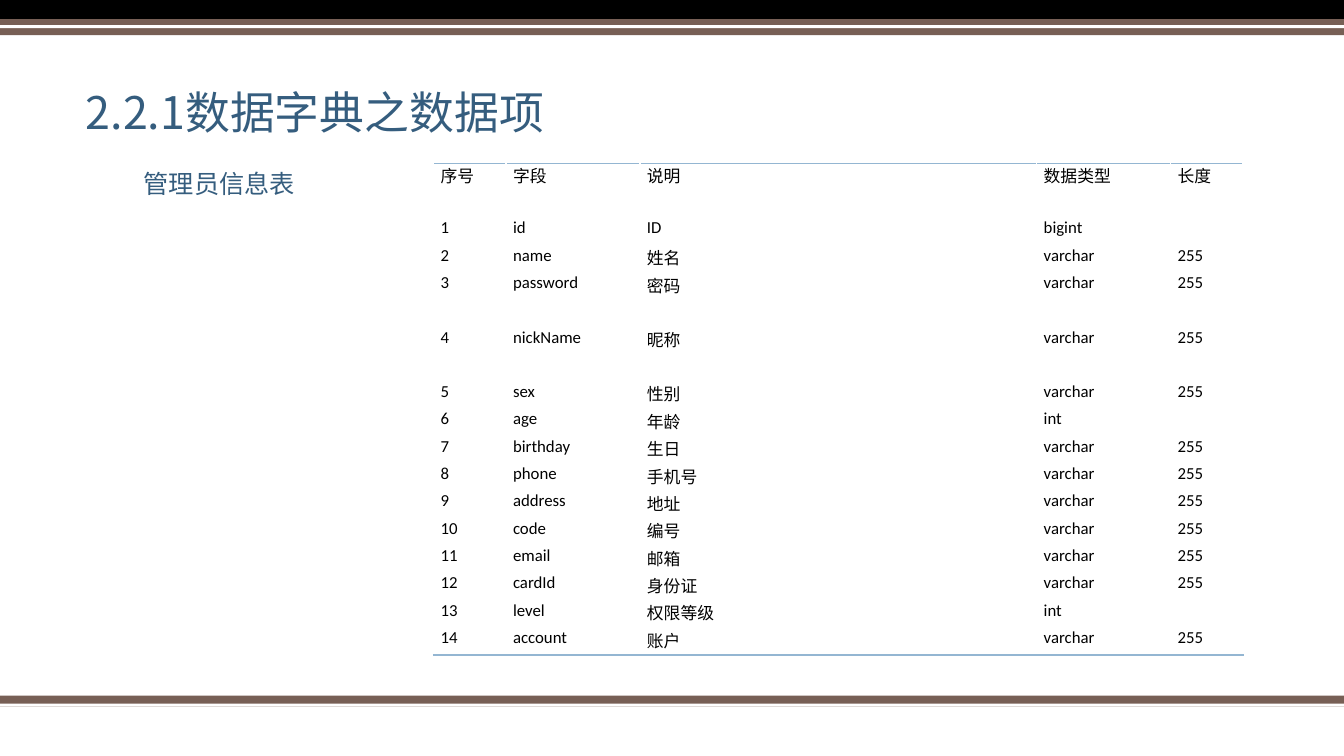
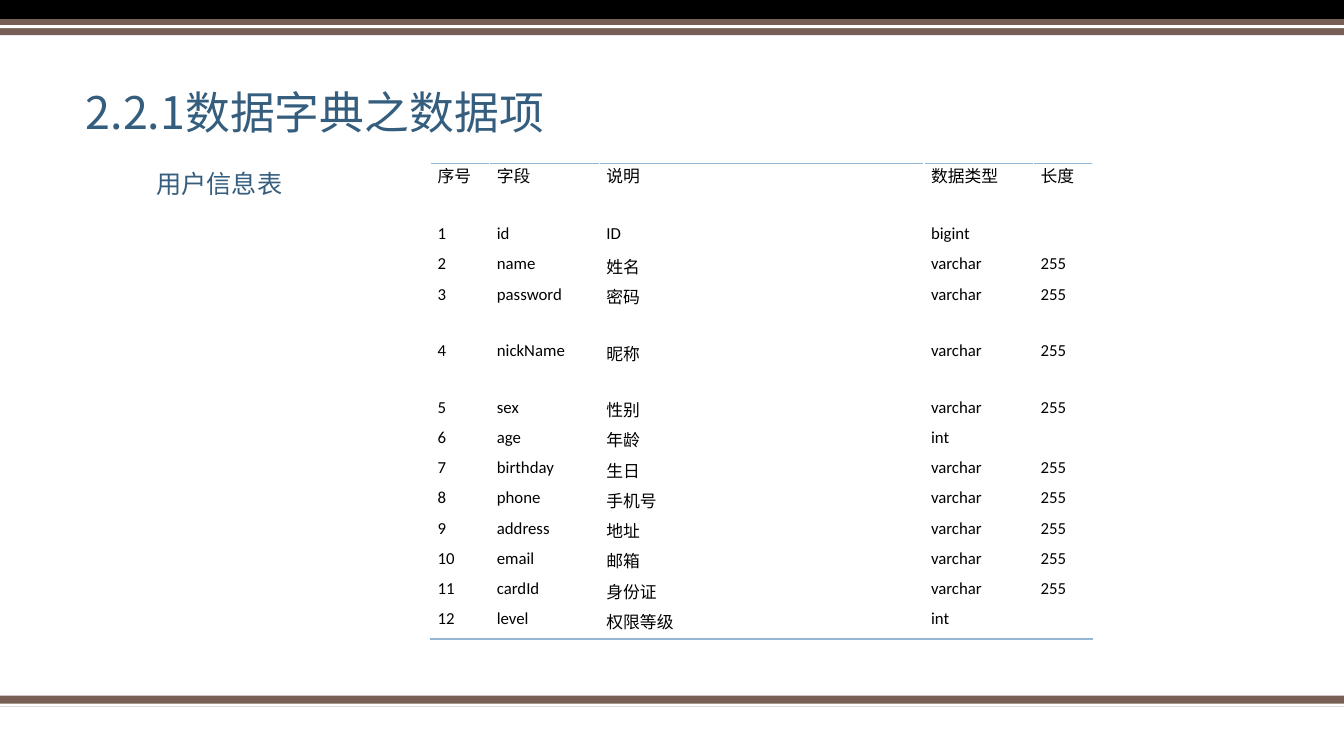
from lxml import etree
from pptx import Presentation
from pptx.dml.color import RGBColor
from pptx.enum import shapes, text
from pptx.oxml.ns import qn
from pptx.util import Inches, Pt

BLUE, BROWN, BLACK, WHITE, RULE = "355D7E", "775F55", "000000", "FFFFFF", "94B6D2"
CJK, LATIN = "Noto Sans CJK SC", "Calibri"
SLIDE_W, SLIDE_H = 13.33, 7.5
BANDS = [(6.9, 0.11, BROWN), (6.98, 0.03, WHITE),
         (0, 0.19, BLACK), (0.19, 0.16, BROWN), (0.25, 0.03, WHITE)]
TITLE = "2.2.1数据字典之数据项"
HEADER = ("序号", "字段", "说明", "数据类型", "长度")
COLUMN_WEIGHTS = (0.72, 1.33, 3.94, 1.33, 0.72)
FIELDS = {
    "id": ("ID", "bigint"), "name": ("姓名", "varchar"),
    "password": ("密码", "varchar"), "nickName": ("昵称", "varchar"),
    "sex": ("性别", "varchar"), "age": ("年龄", "int"),
    "birthday": ("生日", "varchar"), "phone": ("手机号", "varchar"),
    "address": ("地址", "varchar"), "code": ("编号", "varchar"),
    "email": ("邮箱", "varchar"), "cardId": ("身份证", "varchar"),
    "level": ("权限等级", "int"), "account": ("账户", "varchar"),
}
TALL_FIELDS = ("password", "nickName")
ADMIN_ONLY = ("code", "account")


def rgb(color):
    return RGBColor.from_string(color)


def add_rule(cell, tag):
    """Draw one edge of a table cell; tag is lnT or lnB."""
    ln = etree.Element(qn("a:" + tag), w=str(Pt(1)))
    fill = etree.SubElement(ln, qn("a:solidFill"))
    etree.SubElement(fill, qn("a:srgbClr"), val=RULE)
    cell._tc.get_or_add_tcPr().insert(0, ln)


class Deck:
    def __init__(self):
        self.prs = Presentation()
        self.prs.slide_width, self.prs.slide_height = Inches(SLIDE_W), Inches(SLIDE_H)
        self.layout = self.prs.slide_layouts.get_by_name("Title Only")
        title = self.layout.placeholders[0]
        title.left, title.top = Inches(0.75), Inches(0.26)
        title.width, title.height = Inches(10.09), Inches(1.17)
        title.text_frame.vertical_anchor = text.MSO_ANCHOR.BOTTOM
        self.s = None

    def new_slide(self):
        first = self.s is None
        self.s = self.prs.slides.add_slide(self.layout)
        if first:
            for band in BANDS:
                self.layout_band(*band)

    def layout_band(self, top, height, color):
        """Draw a full-width band and move it to the shared layout."""
        sp = self.s.shapes.add_shape(shapes.MSO_SHAPE.RECTANGLE, 0, Inches(top),
                                     Inches(SLIDE_W), Inches(height))
        sp.shadow.inherit = False
        sp.fill.solid()
        sp.fill.fore_color.rgb = rgb(color)
        sp.line.fill.background()
        self.layout.shapes._spTree.append(sp._element)

    def set_text(self, p, words, size, font, color, align):
        p.text = words
        p.alignment = align
        f = p.font
        f.size, f.name, f.color.rgb = Pt(size), font, rgb(color)
        etree.SubElement(f._element, qn("a:ea"), typeface=CJK)
        if not words:
            etree.SubElement(p._p, qn("a:endParaRPr"), sz=str(size * 100))

    def title(self, words):
        p = self.s.shapes.title.text_frame.paragraphs[0]
        self.set_text(p, words, 32, CJK, BLUE, text.PP_ALIGN.LEFT)
        p.line_spacing = 0.9

    def caption(self, words):
        tf = self.s.shapes.add_textbox(Inches(1.23), Inches(1.62),
                                       Inches(1.89), Inches(0.71)).text_frame
        tf.word_wrap = True
        self.set_text(tf.paragraphs[0], words, 18, CJK, BLUE, text.PP_ALIGN.CENTER)

    def field_table(self, names, left, width, height, tall):
        """List the fields; the header takes two lines, tall rows a set height."""
        rows = [HEADER]
        for number, name in enumerate(names, 1):
            label, kind = FIELDS[name]
            rows.append((str(number), name, label, kind, "255" if kind == "varchar" else ""))
        line = (height - tall * len(TALL_FIELDS)) / (len(rows) + 1 - len(TALL_FIELDS))
        table = self.s.shapes.add_table(len(rows), len(HEADER), Inches(left), Inches(1.62),
                                        Inches(width), Inches(height)).table
        table.first_row = table.horz_banding = False
        for column, weight in zip(table.columns, COLUMN_WEIGHTS):
            column.width = Inches(width * weight / sum(COLUMN_WEIGHTS))
        for i, values in enumerate(rows):
            row_height = 2 * line if i == 0 else tall if values[1] in TALL_FIELDS else line
            table.rows[i].height = Inches(row_height)
            for cell, value in zip(table.rows[i].cells, values):
                cell.fill.background()
                cell.margin_left = cell.margin_right = Inches(0.07)
                cell.margin_top = cell.margin_bottom = 0
                self.set_text(cell.text_frame.paragraphs[0], value, 12, LATIN, BLACK,
                              text.PP_ALIGN.JUSTIFY)
                if i == 0:
                    add_rule(cell, "lnT")
                elif i == len(rows) - 1:
                    add_rule(cell, "lnB")


def main():
    deck = Deck()
    user_fields = [name for name in FIELDS if name not in ADMIN_ONLY]
    for caption, names, left, width, height, tall in [
            ("管理员信息表", list(FIELDS), 4.3, 8.03, 4.88, 0.54),
            ("用户信息表", user_fields, 4.27, 6.57, 4.72, 0.56)]:
        deck.new_slide()
        deck.title(TITLE)
        deck.caption(caption)
        deck.field_table(names, left, width, height, tall)
    deck.prs.save("out.pptx")


if __name__ == "__main__":
    main()
